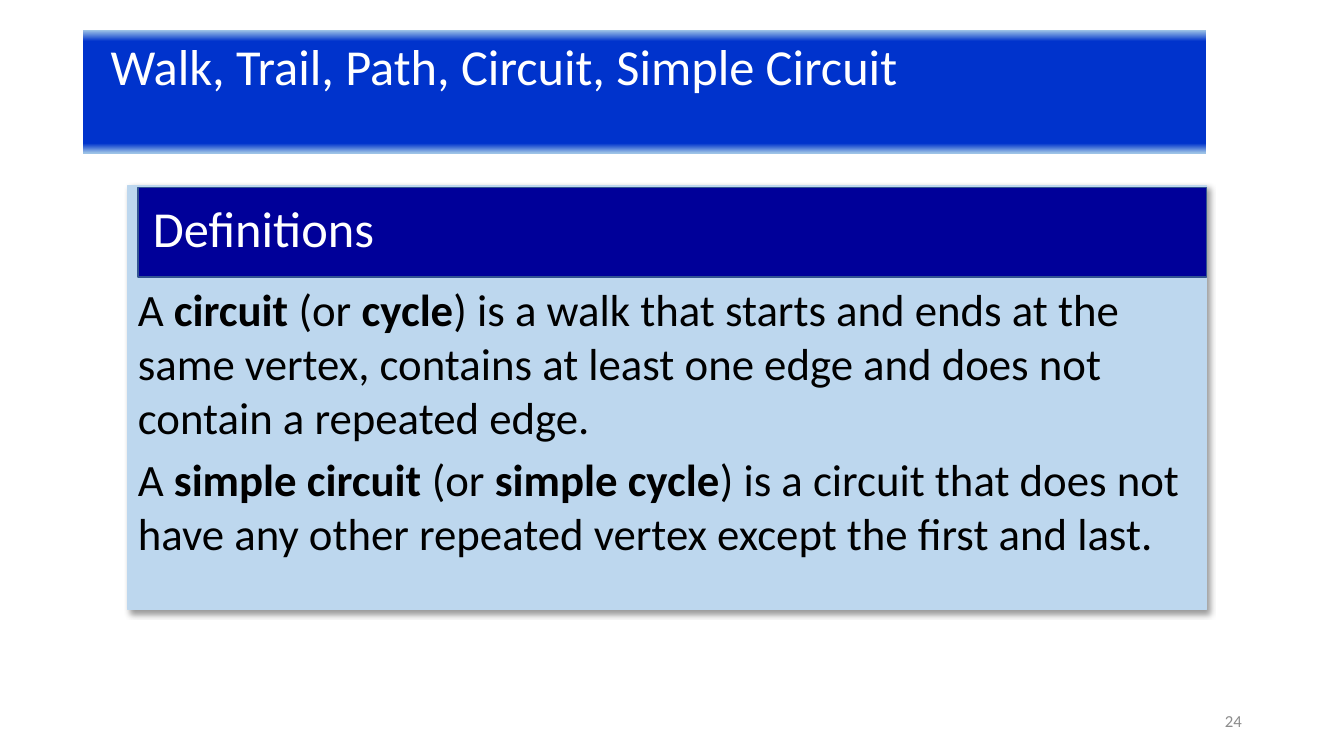
from dataclasses import dataclass

from lxml import etree
from pptx import Presentation
from pptx.dml.color import RGBColor
from pptx.enum.shapes import MSO_SHAPE
from pptx.enum.text import MSO_ANCHOR, MSO_AUTO_SIZE, PP_ALIGN
from pptx.oxml.ns import qn
from pptx.shapes.autoshape import Shape
from pptx.text.text import TextFrame
from pptx.util import Pt

RECT = MSO_SHAPE.RECTANGLE
TOP, MIDDLE = MSO_ANCHOR.TOP, MSO_ANCHOR.MIDDLE
LEFT, RIGHT = PP_ALIGN.LEFT, PP_ALIGN.RIGHT
FONT = "Calibri"
COLORS = {
    "title": "0033CC", "title_edge": "9DC3E6", "panel": "BDD7EE",
    "header": "000099", "header_line": "325491", "white": "FFFFFF",
    "black": "000000", "number": "8C8C8C",
}
TITLE_STOPS = [(0, "title_edge"), (9, "title"), (92, "title"), (100, "title_edge")]


@dataclass
class Box:
    left: float
    top: float
    width: float
    height: float

    def lengths(self) -> tuple:
        return Pt(self.left), Pt(self.top), Pt(self.width), Pt(self.height)


@dataclass
class Panel:
    box: Box
    fill: str
    line: str
    shadow: bool = False


@dataclass
class Label:
    """Text whose paragraphs are lists of pieces, alternately regular and bold."""
    box: Box
    paragraphs: list[list[str]]
    size: float
    color: str
    align: PP_ALIGN = LEFT
    anchor: MSO_ANCHOR = TOP
    space_after: float = 0


TITLE_BOX = Box(59, 21.6, 802.8, 87.8)
PANELS = [
    Panel(Box(91.4, 132.5, 770.4, 303.1), "panel", "panel", shadow=True),
    Panel(Box(98.6, 133.9, 763.2, 64.1), "header", "header_line"),
]
DEFINITIONS = [
    Label(Box(102.2, 137.5, 727.2, 51.1), [["Definitions"]], 36, "white"),
    Label(Box(91.4, 198, 770.4, 207.4), [
        ["A ", "circuit", " (or ", "cycle",
         ") is a walk that starts and ends at the same vertex, contains at least "
         "one edge and does not contain a repeated edge."],
        ["A ", "simple circuit ", "(or ", "simple cycle",
         ") is a circuit that does not have any other repeated vertex except "
         "the first and last."],
    ], 32, "black", space_after=6),
]
NUMBER = Label(Box(678.2, 500.4, 216, 28.8), [["24"]], 12, "number", RIGHT, MIDDLE)


def rgb(name: str) -> RGBColor:
    return RGBColor.from_string(COLORS[name])


def add_color(parent: etree._Element, name: str) -> etree._Element:
    return etree.SubElement(parent, qn("a:srgbClr"), val=COLORS[name])


def add_shadow(sp: Shape) -> None:
    effects = sp._element.spPr.find(qn("a:effectLst"))
    shadow = etree.SubElement(
        effects, qn("a:outerShdw"), blurRad=str(Pt(4)), dist=str(Pt(3)),
        dir=str(45 * 60000), algn="tl", rotWithShape="0")
    etree.SubElement(add_color(shadow, "black"), qn("a:alpha"), val="40000")


def add_panel(shapes, panel: Panel) -> None:
    sp = shapes.add_shape(RECT, *panel.box.lengths())
    sp.shadow.inherit = False
    sp.fill.solid()
    sp.fill.fore_color.rgb = rgb(panel.fill)
    sp.line.color.rgb = rgb(panel.line)
    sp.line.width = Pt(1)
    if panel.shadow:
        add_shadow(sp)


def fill_text(tf: TextFrame, label: Label) -> None:
    tf.word_wrap = True
    tf.auto_size = MSO_AUTO_SIZE.NONE
    tf.vertical_anchor = label.anchor
    for i, pieces in enumerate(label.paragraphs):
        p = tf.add_paragraph() if i else tf.paragraphs[0]
        p.alignment = label.align
        p.space_after = Pt(label.space_after)
        for j, piece in enumerate(pieces):
            r = p.add_run()
            r.text = piece
            r.font.name = FONT
            r.font.size = Pt(label.size)
            r.font.bold = j % 2 == 1
            r.font.color.rgb = rgb(label.color)


def add_label(shapes, label: Label) -> None:
    fill_text(shapes.add_textbox(*label.box.lengths()).text_frame, label)


def format_title(sp: Shape) -> None:
    sp.left, sp.top, sp.width, sp.height = TITLE_BOX.lengths()
    sp.fill.gradient()
    sp.fill.gradient_angle = 270
    stops = sp._element.spPr.find(".//" + qn("a:gsLst"))
    stops.clear()
    for percent, color in TITLE_STOPS:
        add_color(etree.SubElement(stops, qn("a:gs"), pos=str(percent * 1000)), color)
    tf = sp.text_frame
    tf.margin_left = Pt(20)
    fill_text(tf, Label(TITLE_BOX, [["Walk, Trail, Path, Circuit, Simple Circuit"]],
                        36, "white"))


def main() -> None:
    prs = Presentation()
    prs.slide_width, prs.slide_height = Pt(960), Pt(540)
    s = prs.slides.add_slide(prs.slide_layouts.get_by_name("Title Only"))
    format_title(s.shapes.title)
    group = s.shapes.add_group_shape()
    for panel in PANELS:
        add_panel(group.shapes, panel)
    for label in DEFINITIONS:
        add_label(group.shapes, label)
    add_label(s.shapes, NUMBER)
    prs.save("out.pptx")


if __name__ == "__main__":
    main()
